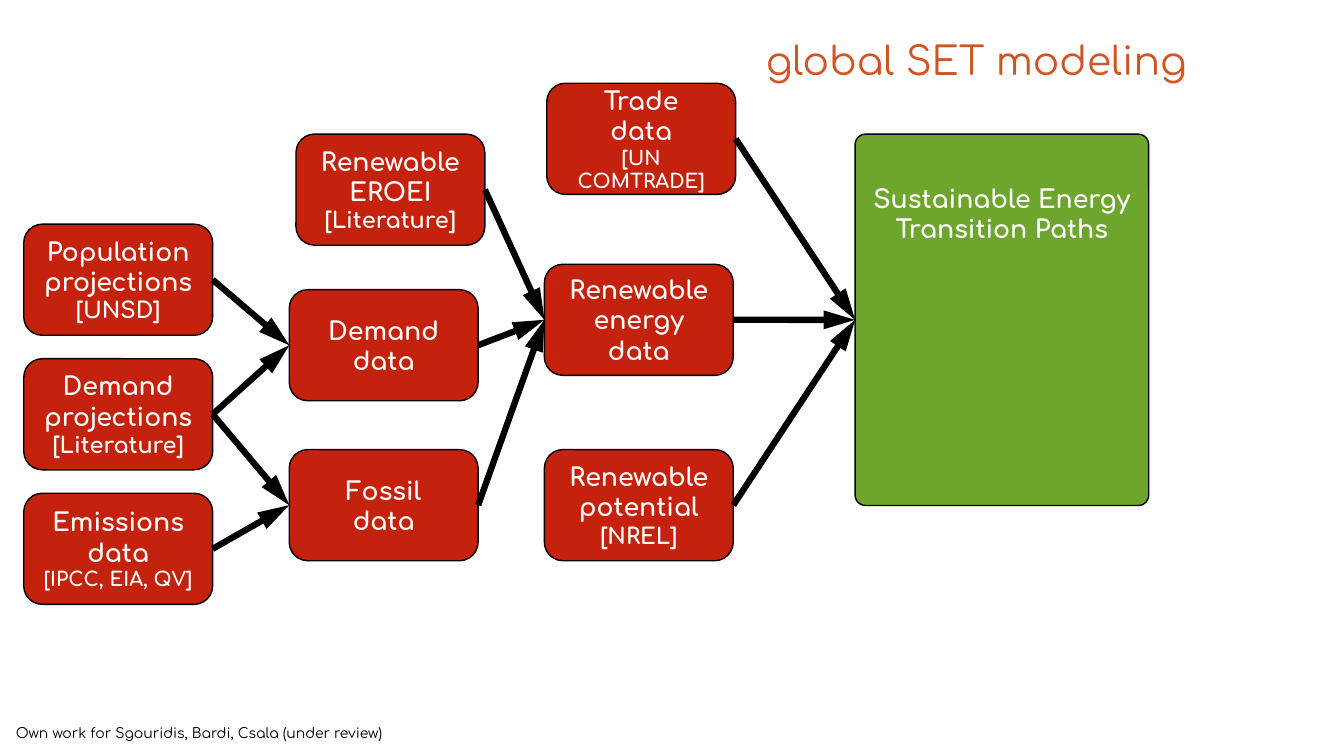
from dataclasses import dataclass

from lxml import etree
from pptx import Presentation
from pptx.dml.color import RGBColor
from pptx.enum import shapes, text
from pptx.oxml import ns
from pptx.util import Cm, Pt


@dataclass(frozen=True)
class Theme:
    font: str = "Comfortaa"
    red: str = "C4220D"
    green: str = "6EA52D"
    rust: str = "D15523"
    white: str = "FFFFFF"
    black: str = "000000"
    title: int = 28
    body: int = 18
    cite: int = 16
    small: int = 14
    note: int = 10
    edge: float = 1
    arrow: float = 4.5


T = Theme()
WIDE, HIGH = 4.76, 2.8


@dataclass(frozen=True)
class Node:
    key: str
    x: float
    y: float
    lines: tuple[str, ...]
    cite: str = ""
    size: int = T.cite
    w: float = WIDE
    h: float = HIGH
    fill: str = T.red


@dataclass(frozen=True)
class Link:
    start: str
    end: str


# Columns of the flow, left to right
COL = (0.6, 7.29, 13.72, 21.55)
ROW, STEP = 5.65, 3.39
LOW, TOP = 11.33, 3.38

NODES = (
    Node("people", COL[0], ROW, ("Population projections",), "[UNSD]"),
    Node("needs", COL[0], ROW + STEP, ("Demand projections",), "[Literature]"),
    Node("carbon", COL[0], ROW + 2 * STEP, ("Emissions data",), "[IPCC, EIA, QV]", T.small),
    Node("demand", COL[1], 7.3, ("Demand data",)),
    Node("fossil", COL[1], LOW, ("Fossil", "data")),
    Node("eroei", 7.46, TOP, ("Renewable", "EROEI"), "[Literature]"),
    Node("energy", COL[2], 6.66, ("Renewable energy data",)),
    Node("trade", 13.78, 2.1, ("Trade", "data"), "[UN COMTRADE]", T.small),
    Node("scope", COL[2], LOW, ("Renewable potential",), "[NREL]"),
    Node("paths", COL[3], TOP, ("Sustainable Energy Transition Paths",),
         w=7.4, h=9.36, fill=T.green),
)

LINKS = (
    Link("people", "demand"), Link("needs", "demand"),
    Link("needs", "fossil"), Link("carbon", "fossil"),
    Link("eroei", "energy"), Link("demand", "energy"), Link("fossil", "energy"),
    Link("trade", "paths"), Link("energy", "paths"), Link("scope", "paths"),
)


def write(para, words: str, size: int, hue: str, bold: bool = False) -> None:
    run = para.add_run()
    run.text = words
    run.font.name = T.font
    run.font.size = Pt(size)
    run.font.bold = bold
    run.font.color.rgb = RGBColor.from_string(hue)


def draw_node(slide, node: Node):
    box = slide.shapes.add_shape(
        shapes.MSO_SHAPE.ROUNDED_RECTANGLE,
        Cm(node.x), Cm(node.y), Cm(node.w), Cm(node.h))
    box.shadow.inherit = False
    box.fill.solid()
    box.fill.fore_color.rgb = RGBColor.from_string(node.fill)
    box.line.color.rgb = RGBColor.from_string(T.black)
    box.line.width = Pt(T.edge)
    frame = box.text_frame
    frame.word_wrap = True
    frame.vertical_anchor = text.MSO_ANCHOR.MIDDLE
    rows = [(line, T.body) for line in node.lines]
    if node.cite:
        rows.append((node.cite, node.size))
    for i, (words, size) in enumerate(rows):
        para = frame.add_paragraph() if i else frame.paragraphs[0]
        para.alignment = text.PP_ALIGN.CENTER
        write(para, words, size, T.white, True)
    return box


def draw_link(slide, start, end) -> None:
    line = slide.shapes.add_connector(shapes.MSO_CONNECTOR.STRAIGHT, 0, 0, 0, 0)
    line.begin_connect(start, 3)
    line.end_connect(end, 1)
    line.line.color.rgb = RGBColor.from_string(T.black)
    line.line.width = Pt(T.arrow)
    tip = etree.SubElement(line.line._get_or_add_ln(), ns.qn("a:tailEnd"))
    tip.set("type", "triangle")
    tip.set("len", "lg")
    etree.SubElement(line._element.spPr, ns.qn("a:effectLst"))


def main() -> None:
    deck = Presentation()
    deck.slide_width, deck.slide_height = Cm(33.87), Cm(19.05)
    slide = deck.slides.add_slide(deck.slide_layouts[5])

    # Title
    title = slide.shapes.title
    title.left, title.top, title.width, title.height = Cm(15.33), Cm(0.37), Cm(18.54), Cm(2.3)
    title.text_frame.vertical_anchor = text.MSO_ANCHOR.MIDDLE
    head = title.text_frame.paragraphs[0]
    head.alignment = text.PP_ALIGN.CENTER
    write(head, "global SET modeling", T.title, T.rust)

    # Boxes
    boxes = {node.key: draw_node(slide, node) for node in NODES}
    goal = boxes["paths"]
    goal.adjustments[0] = 0.036
    goal.text_frame.vertical_anchor = text.MSO_ANCHOR.TOP
    goal.text_frame.margin_top = Cm(1.16)

    # Arrows
    for link in LINKS:
        draw_link(slide, boxes[link.start], boxes[link.end])

    # Source note
    note = slide.shapes.add_textbox(Cm(0.15), Cm(18.08), Cm(14.3), Cm(0.8))
    note.text_frame.word_wrap = True
    note.text_frame.vertical_anchor = text.MSO_ANCHOR.MIDDLE
    write(note.text_frame.paragraphs[0],
          "Own work for Sgouridis, Bardi, Csala (under review)", T.note, T.black)

    deck.save("out.pptx")


if __name__ == "__main__":
    main()
